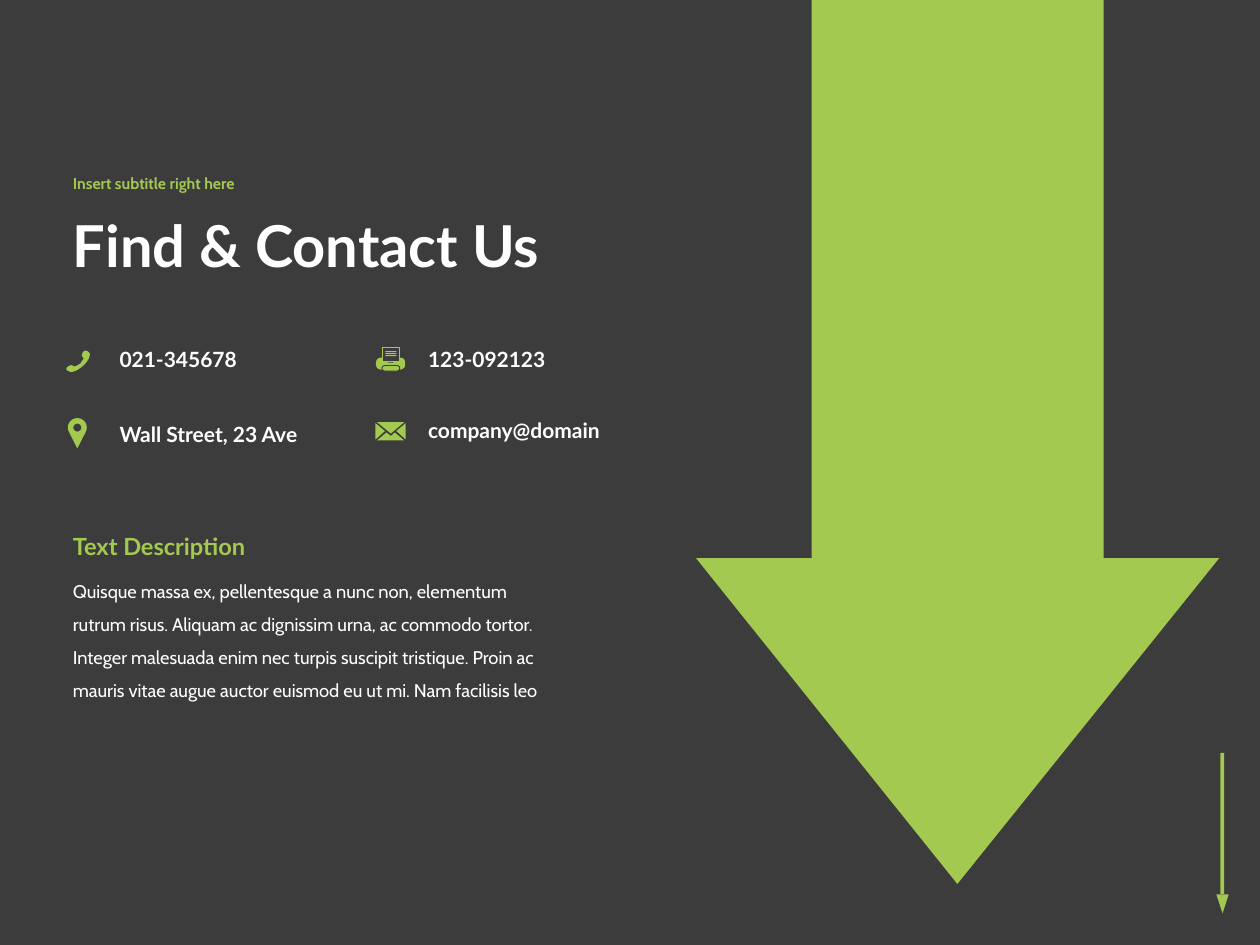
from math import cos, radians, sin
from pptx import Presentation
from pptx.dml.color import RGBColor
from pptx.enum.shapes import MSO_SHAPE as SHAPE
from pptx.enum.text import MSO_ANCHOR as ANCHOR
from pptx.util import Cm, Pt

GREEN, DARK, WHITE = "A3C951", "3C3C3C", "FFFFFF"
UNITS_PER_CM = 1000


def paint(fmt, color):
    if hasattr(fmt, "solid"):
        fmt.solid()
        fmt.fore_color.rgb = RGBColor.from_string(color)
    else:
        fmt.color.rgb = RGBColor.from_string(color)


def arc(cx, cy, radius, start, end, step=5):
    return [(cx + radius * cos(radians(a)), cy + radius * sin(radians(a)))
            for a in range(start, end + 1, step)]


def curve(start, segments, steps=8):
    points = [start]
    for p1, p2, p3 in segments:
        p0 = points[-1]
        for i in range(1, steps + 1):
            t = i / steps
            u = 1 - t
            points.append(tuple(
                u**3 * a + 3 * u * u * t * b + 3 * u * t * t * c + t**3 * d
                for a, b, c, d in zip(p0, p1, p2, p3)))
    return points


class Deck:
    """Holds the slide being drawn and the style of its elements."""

    def __init__(self):
        self.prs = Presentation()
        self.prs.slide_width, self.prs.slide_height = Cm(25.4), Cm(19.05)
        self.s = self.prs.slides.add_slide(self.prs.slide_layouts[6])
        paint(self.s.background.fill, DARK)

    def style(self, sp, fill, line=None, weight=0.5):
        sp.shadow.inherit = False
        paint(sp.fill, fill)
        if line:
            paint(sp.line, line)
            sp.line.width = Pt(weight)
        else:
            sp.line.fill.background()
        return sp

    def shape(self, kind, x, y, w, h, fill=GREEN, line=None):
        sp = self.s.shapes.add_shape(kind, Cm(x), Cm(y), Cm(w), Cm(h))
        return self.style(sp, fill, line)

    def outline(self, *contours):
        scaled = [[(x * UNITS_PER_CM, y * UNITS_PER_CM) for x, y in c]
                  for c in contours]
        builder = self.s.shapes.build_freeform(
            *scaled[0][0], scale=Cm(1) / UNITS_PER_CM)
        builder.add_line_segments(scaled[0][1:], close=True)
        for contour in scaled[1:]:
            builder.move_to(*contour[0])
            builder.add_line_segments(contour[1:], close=True)
        return self.style(builder.convert_to_shape(), GREEN)

    def text(self, text, x, y, w, h, size, color=WHITE, font="Lato",
             bold=True, spacing=1.0, anchor=ANCHOR.TOP):
        tf = self.s.shapes.add_textbox(Cm(x), Cm(y), Cm(w), Cm(h)).text_frame
        tf.word_wrap = True
        tf.vertical_anchor = anchor
        tf.text = text
        p = tf.paragraphs[0]
        p.line_spacing = spacing
        r = p.runs[0]
        r.font.name, r.font.size, r.font.bold = font, Pt(size), bold
        paint(r.font, color) if hasattr(r.font, "solid") else paint(r.font, color)

    def phone(self):
        self.outline(curve((1.68, 7.21), [
            ((1.65, 7.19), (1.63, 7.16), (1.68, 7.09)),
            ((1.73, 7.04), (1.78, 7.09), (1.8, 7.11)),
            ((1.83, 7.14), (1.8, 7.26), (1.68, 7.37)),
            ((1.55, 7.49), (1.42, 7.52), (1.4, 7.49)),
            ((1.35, 7.47), (1.3, 7.44), (1.37, 7.39)),
            ((1.45, 7.34), (1.45, 7.37), (1.5, 7.39)),
            ((1.5, 7.39), (1.57, 7.37), (1.63, 7.32)),
            ((1.65, 7.26), (1.7, 7.24), (1.68, 7.21))]))

    def pin(self):
        cx, cy = 1.56, 8.62
        self.outline(arc(cx, cy, 0.19, 150, 390) + [(cx, 9.04)],
                     arc(cx, cy, 0.08, 0, 360)[::-1])

    def printer(self):
        body = self.shape(SHAPE.ROUNDED_RECTANGLE, 7.58, 7.21, 0.59, 0.24)
        body.adjustments[0] = 0.4
        self.shape(SHAPE.RECTANGLE, 7.71, 7, 0.34, 0.28, DARK, GREEN)
        for i in range(3):
            self.shape(SHAPE.RECTANGLE, 7.77, 7.08 + i * 0.04, 0.22, 0.02)
        self.shape(SHAPE.RECTANGLE, 7.82, 7.3, 0.11, 0.01, DARK)
        tray = self.shape(SHAPE.ROUNDED_RECTANGLE, 7.7, 7.37, 0.36, 0.11,
                          GREEN, DARK)
        tray.adjustments[0] = 0.5

    def envelope(self):
        self.outline([(7.6, 8.51), (8.15, 8.51), (7.88, 8.74)])
        self.outline([(8.18, 8.53), (7.99, 8.69), (8.18, 8.86)])
        self.outline([(7.57, 8.53), (7.76, 8.69), (7.57, 8.86)])
        self.outline([(7.88, 8.79), (7.79, 8.72), (7.6, 8.88),
                      (8.15, 8.88), (7.96, 8.72)])


def main():
    deck = Deck()
    deck.shape(SHAPE.RECTANGLE, 24.6, 15.18, 0.08, 2.84)
    tip = deck.shape(SHAPE.ISOSCELES_TRIANGLE, 24.52, 18.03, 0.25, 0.38)
    tip.rotation = 180
    deck.outline([(16.36, -1.12), (22.25, -1.12), (22.25, 11.25),
                  (24.58, 11.25), (19.3, 17.82), (14.03, 11.25),
                  (16.36, 11.25)])

    deck.text("Find & Contact Us", 1.22, 3.71, 14.3, 2.62, 33,
              spacing=0.9, anchor=ANCHOR.MIDDLE)
    deck.text("Insert subtitle right here", 1.22, 3.23, 14.3, 0.97, 9,
              GREEN, "Cabin", spacing=0.9, anchor=ANCHOR.MIDDLE)
    deck.text("Text Description", 1.22, 10.59, 5.56, 0.84, 13.5, GREEN)
    deck.text("Quisque massa ex, pellentesque a nunc non, elementum rutrum "
              "risus. Aliquam ac dignissim urna, ac commodo tortor. Integer "
              "malesuada enim nec turpis suscipit tristique. Proin ac mauris "
              "vitae augue auctor euismod eu ut mi. Nam facilisis leo",
              1.22, 11.35, 10.16, 2.87, 10.5, font="Cabin", bold=False,
              spacing=1.5)

    for contact, x, y in [("021-345678", 2.16, 6.86),
                          ("123-092123", 8.38, 6.86),
                          ("Wall Street, 23 Ave", 2.16, 8.38),
                          ("company@domain", 8.38, 8.3)]:
        deck.text(contact, x, y, 5.84, 0.76, 12)
    deck.phone()
    deck.pin()
    deck.printer()
    deck.envelope()
    deck.prs.save("out.pptx")


if __name__ == "__main__":
    main()
